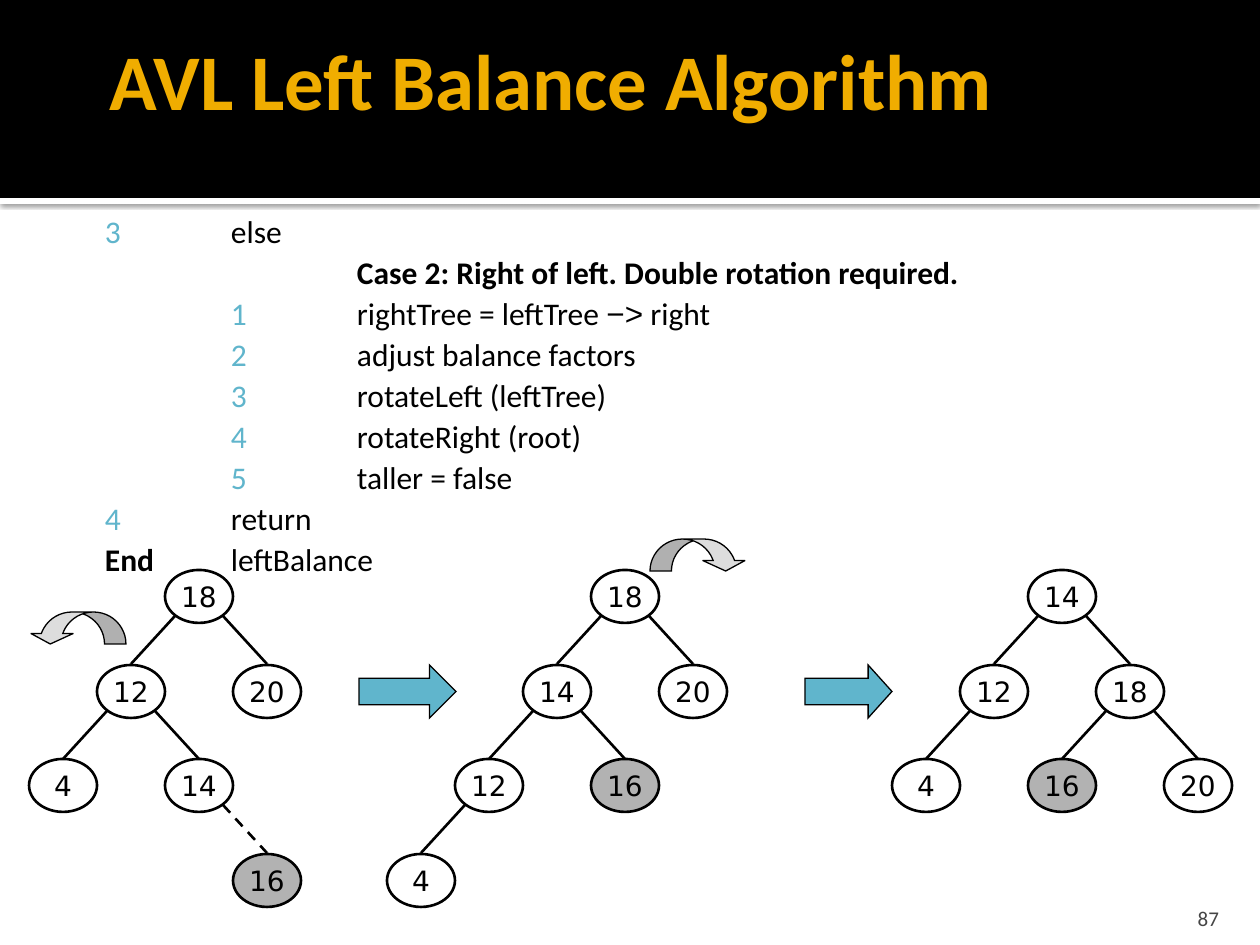
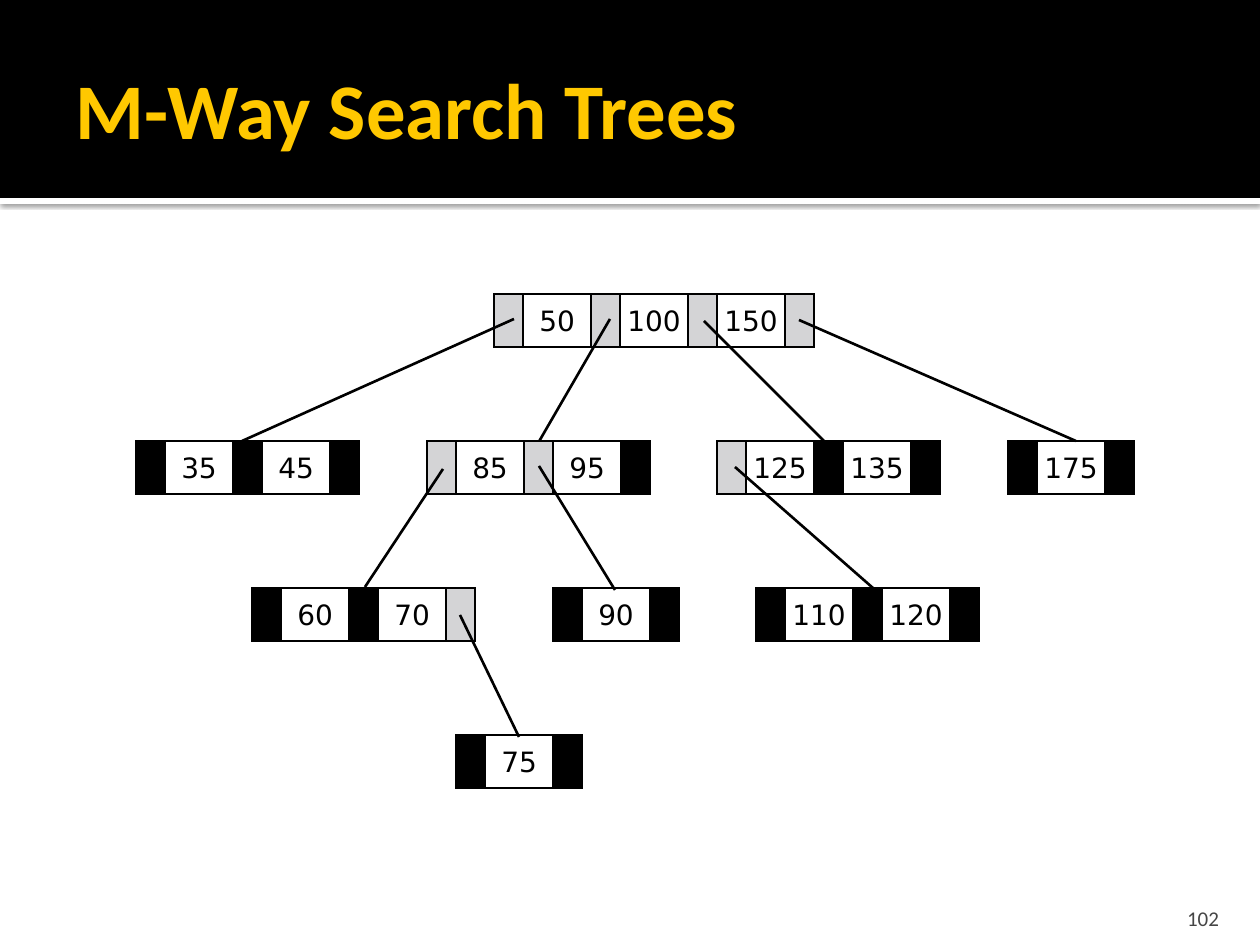
from lxml import etree
from pptx import Presentation
from pptx import util as u
from pptx.dml.color import RGBColor
from pptx.enum import dml, shapes, text
from pptx.oxml.ns import qn

PX_PER_INCH = 126
BLACK, WHITE, TEAL = "000000", "FFFFFF", "60B5CC"
AMBER, YELLOW = "F0AD00", "FFC800"
NODE_GREY, ARROW_GREY, POINTER_GREY, NUMBER_GREY = "B2B2B2", "DDDDDD", "D4D4D6", "454545"
KIND = shapes.MSO_SHAPE
ALIGN, ANCHOR = text.PP_ALIGN, text.MSO_ANCHOR


def px(length):
    return u.Emu(round(length * u.Inches(1) / PX_PER_INCH))


def color(hex_code):
    return RGBColor.from_string(hex_code)


class Board:
    """Holds the deck's style and the slide being drawn."""

    body_font, node_font = "Calibri", "DejaVu Sans"
    cell_width, cell_height, pointer_width = 68, 53, 29
    stroke = 1.5
    tab_size = str(u.Inches(1))

    def __init__(self):
        self.deck = Presentation()
        self.deck.slide_width, self.deck.slide_height = px(1260), px(945)
        for level in self.deck.slide_master.element.iter(qn("a:lvl1pPr")):
            level.set("defTabSz", self.tab_size)
        self.page = None

    # Slide frame: band, title and number
    def new_page(self, layout, title, number, title_at, title_color):
        self.page = self.deck.slides.add_slide(self.deck.slide_layouts[layout])
        strip = self.shape(KIND.RECTANGLE, (0, 198, 1260, 6), WHITE, None)
        effects = strip.element.spPr.find(qn("a:effectLst"))
        shadow = etree.SubElement(effects, qn("a:outerShdw"), blurRad=str(u.Pt(2.5)),
                                  dist=str(u.Pt(0.8)), dir="5400000", rotWithShape="0")
        tint = etree.SubElement(shadow, qn("a:srgbClr"), val=BLACK)
        etree.SubElement(tint, qn("a:alpha"), val="60000")
        band = self.shape(KIND.RECTANGLE, (0, 0, 1260, 198), BLACK, None)
        for depth, part in enumerate((strip, band)):
            self.page.shapes._spTree.insert(2 + depth, part.element)

        frame = self.frame(self.page.shapes.title, title_at, (13, 6, 6, 6), ANCHOR.MIDDLE)
        para = frame.paragraphs[0]
        para.alignment = ALIGN.LEFT
        self.span(para, title, 45, title_color, bold=True)

        at = (1131, 893, 101, 38)
        box = self.page.shapes.add_textbox(*map(px, at))
        para = self.frame(box, at, (13, 6, 13, 0), ANCHOR.BOTTOM).paragraphs[0]
        para.alignment = ALIGN.RIGHT
        self.span(para, number, 12, NUMBER_GREY)

    def frame(self, box, at, insets, anchor):
        box.left, box.top, box.width, box.height = map(px, at)
        frame = box.text_frame
        frame.auto_size = text.MSO_AUTO_SIZE.NONE
        frame.word_wrap = True
        frame.vertical_anchor = anchor
        (frame.margin_left, frame.margin_top,
         frame.margin_right, frame.margin_bottom) = map(px, insets)
        return frame

    def span(self, para, words, size, hex_code, bold=False, font=None):
        span = para.add_run()
        span.text = words
        span.font.name = font or self.body_font
        span.font.size = u.Pt(size)
        span.font.bold = bold
        span.font.color.rgb = color(hex_code)

    # Tabbed pseudocode in the body placeholder
    def code(self, at, lines):
        frame = self.frame(self.page.placeholders[1], at, (8, 13, 13, 6), ANCHOR.TOP)
        for index, spans in enumerate(lines):
            para = frame.add_paragraph() if index else frame.paragraphs[0]
            para.space_before, para.space_after = u.Pt(0), u.Pt(1.8)
            layout = para._p.get_or_add_pPr()
            for name, value in (("marL", "0"), ("indent", "0"), ("defTabSz", self.tab_size)):
                layout.set(name, value)
            etree.SubElement(layout, qn("a:buNone"))
            for words, hex_code, *style in spans:
                self.span(para, words, 18, hex_code, "bold" in style,
                          "Arial" if "arial" in style else None)

    def shape(self, kind, at, fill, stroke, adjust=(), flip=False):
        shape = self.page.shapes.add_shape(kind, *map(px, at))
        shape.shadow.inherit = False
        if fill:
            shape.fill.solid()
            shape.fill.fore_color.rgb = color(fill)
        else:
            shape.fill.background()
        if stroke:
            shape.line.color.rgb = color(BLACK)
            shape.line.width = u.Pt(stroke)
            outline = shape.element.spPr.find(qn("a:ln"))
            etree.SubElement(outline, qn("a:miter"), lim="800000")
        else:
            shape.line.fill.background()
        for index, value in enumerate(adjust):
            shape.adjustments[index] = value
        if flip:
            shape.element.spPr.xfrm.set("flipH", "1")
        return shape

    def cell(self, kind, left, top, key, fill=None):
        cell = self.shape(kind, (left, top, self.cell_width, self.cell_height),
                          fill, self.stroke)
        frame = cell.text_frame
        frame.word_wrap = False
        frame.vertical_anchor = ANCHOR.MIDDLE
        para = frame.paragraphs[0]
        para.alignment = ALIGN.CENTER
        self.span(para, str(key), 16, BLACK, font=self.node_font)

    def line(self, start, end, dashed=False):
        line = self.page.shapes.add_connector(
            shapes.MSO_CONNECTOR.STRAIGHT, *map(px, (*start, *end)))
        line.line.color.rgb = color(BLACK)
        line.line.width = u.Pt(self.stroke)
        if dashed:
            line.line.dash_style = dml.MSO_LINE.DASH
        etree.SubElement(line.element.spPr, qn("a:effectLst"))

    # Binary tree: each child sits one cell to the side and one row down
    def binary_tree(self, tree, left, dashed_key=None, row=0):
        key, *children = tree
        top = 570 + (row * 189 + 1) // 2
        self.cell(KIND.OVAL, left, top, key, NODE_GREY if key == 16 else None)
        middle = left + self.cell_width // 2
        for side, child in zip((-1, 1), children):
            if child:
                self.line((middle + side * 24, top + 46),
                          (middle + side * self.cell_width, top + 94),
                          child[0] == dashed_key)
                self.binary_tree(child, left + side * self.cell_width, dashed_key, row + 1)

    # M-way node: pointers and keys alternate; live pointers are grey
    def multiway_node(self, level, left, keys, live=()):
        top = 294 + level * 147
        pitch = self.pointer_width + self.cell_width
        for index, key in enumerate(keys):
            self.cell(KIND.RECTANGLE, left + index * pitch + self.pointer_width, top, key)
        for index in range(len(keys) + 1):
            at = (left + index * pitch, top, self.pointer_width, self.cell_height)
            self.shape(KIND.RECTANGLE, at, POINTER_GREY if index in live else BLACK, self.stroke)


def rotation_slide(board):
    board.new_page(1, "AVL Left Balance Algorithm", "87", (97, 0, 1071, 158), AMBER)
    board.code((97, 199, 1071, 388), [
        [("3", TEAL), ("\telse", BLACK)],
        [("\t\t", BLACK),
         ("Case 2: Right of left. Double rotation required.", BLACK, "bold")],
        [("\t1\t", TEAL), ("rightTree = leftTree ", BLACK),
         ("−>", BLACK, "arial"), (" right", BLACK)],
        [("\t2", TEAL), ("\tadjust balance factors", BLACK)],
        [("\t3\t", TEAL), ("rotateLeft (leftTree)", BLACK)],
        [("\t4\t", TEAL), ("rotateRight (root)", BLACK)],
        [("\t5", TEAL), ("\ttaller = false", BLACK)],
        [("4", TEAL), ("\treturn", BLACK)],
        [("End\t", BLACK, "bold"), ("leftBalance", BLACK)],
    ])

    # Before, after the left rotation, after the right rotation
    board.binary_tree((18, (12, (4,), (14, None, (16,))), (20,)), 165, dashed_key=16)
    board.binary_tree((18, (14, (12, (4,)), (16,)), (20,)), 591)
    board.binary_tree((14, (12, (4,)), (18, (16,), (20,))), 1028)

    # Step arrows and rotation arrows
    for left, width, head in ((359, 97, 0.5), (805, 87, 0.45)):
        board.shape(KIND.RIGHT_ARROW, (left, 665, width, 53), TEAL, 0.75, (0.5, head))
    for left, top, flip in ((29, 612, True), (650, 539, False)):
        board.shape(KIND.CURVED_DOWN_ARROW, (left, top, 97, 32), ARROW_GREY, 0.75,
                    (0.67, 1.33, 0.33), flip)


def multiway_slide(board):
    board.new_page(5, "M-Way Search Trees", "102", (63, 22, 1134, 173), YELLOW)

    # Root and its links, which end behind the child nodes
    board.multiway_node(0, 494, (50, 100, 150), (0, 1, 2, 3))
    for start, end in (
        ((514, 319), (242, 441)), ((610, 319), (537, 445)),
        ((704, 321), (824, 441)), ((799, 320), (1076, 441)),
    ):
        board.line(start, end)

    # Level, left edge, keys, live pointers
    for node in (
        (1, 136, (35, 45)),
        (1, 427, (85, 95), (0, 1)),
        (1, 717, (125, 135), (0,)),
        (1, 1008, (175,)),
        (2, 252, (60, 70), (2,)),
        (2, 553, (90,)),
        (2, 756, (110, 120)),
        (3, 456, (75,)),
    ):
        board.multiway_node(*node)

    # Links between the lower levels
    for start, end in (
        ((443, 469), (365, 587)), ((539, 466), (615, 590)),
        ((735, 467), (873, 588)), ((460, 615), (519, 737)),
    ):
        board.line(start, end)


def main():
    board = Board()
    rotation_slide(board)
    multiway_slide(board)
    board.deck.save("out.pptx")


if __name__ == "__main__":
    main()
